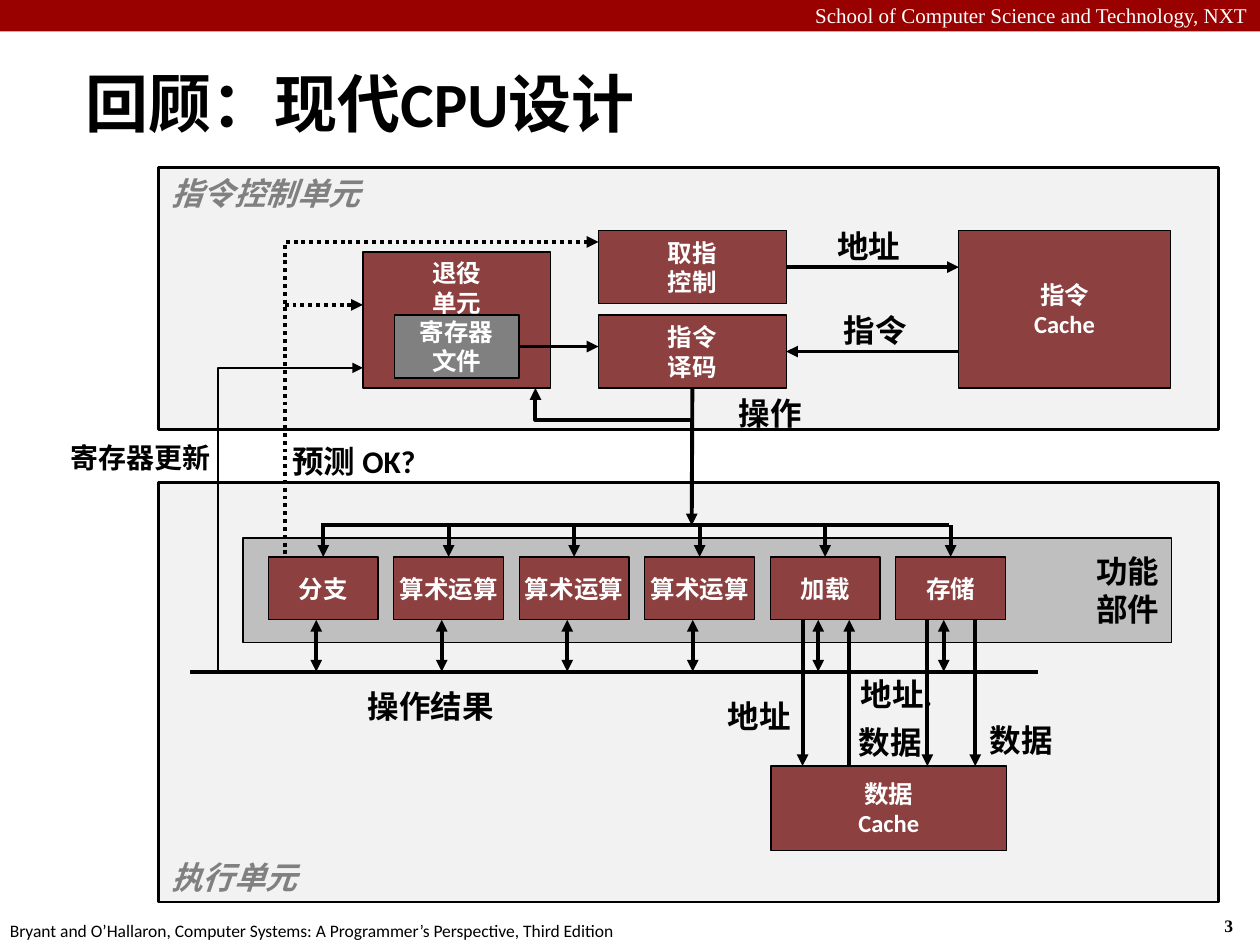
from lxml.etree import SubElement
from pptx import Presentation
from pptx.dml.color import RGBColor
from pptx.enum.dml import MSO_LINE
from pptx.enum.shapes import MSO_CONNECTOR, MSO_SHAPE
from pptx.enum.text import MSO_ANCHOR, PP_ALIGN
from pptx.oxml.ns import qn
from pptx.util import Inches, Pt

COLORS = {
    "bar": "990000", "box": "8C4040", "panel": "F2F2F2", "band": "BFBFBF",
    "gray": "808080", "black": "000000", "white": "FFFFFF",
}
RGB = {name: RGBColor.from_string(code) for name, code in COLORS.items()}
ALIGN = {"l": PP_ALIGN.LEFT, "c": PP_ALIGN.CENTER, "r": PP_ALIGN.RIGHT}
ANCHOR = {"t": MSO_ANCHOR.TOP, "m": MSO_ANCHOR.MIDDLE, "b": MSO_ANCHOR.BOTTOM}

deck = Presentation()
deck.slide_width, deck.slide_height = Inches(10), Inches(7.5)
slide = deck.slides.add_slide(deck.slide_layouts[6])
shapes = slide.shapes


def put(text, x, y, w, h, fill=None, edge=0.75, size=18, color="black",
        font="Calibri", bold=True, italic=False, align="c", anchor="t",
        wrap=False):
    """Add a text box, or a rectangle when a fill is given."""
    area = [Inches(v) for v in (x, y, w, h)]
    if fill:
        item = shapes.add_shape(MSO_SHAPE.RECTANGLE, *area)
        item.shadow.inherit = False
        item.fill.solid()
        item.fill.fore_color.rgb = RGB[fill]
        if edge:
            item.line.color.rgb = RGB["black"]
            item.line.width = Pt(edge)
        else:
            item.line.fill.background()
    else:
        item = shapes.add_textbox(*area)
    frame = item.text_frame
    frame.word_wrap = wrap
    frame.vertical_anchor = ANCHOR[anchor]
    frame.text = text
    for para in frame.paragraphs:
        para.alignment = ALIGN[align]
        for run in para.runs:
            run.font.name = font
            run.font.size = Pt(size)
            run.font.bold = bold
            run.font.italic = italic
            run.font.color.rgb = RGB[color]
    return item


def draw(*points, width=2.25, head=False, tail=True, dots=False,
         start=None, end=None):
    """Draw a line through points; start and end are (shape, site) pairs."""
    spots = [(Inches(x), Inches(y)) for x, y in points]
    if len(spots) == 2:
        item = shapes.add_connector(MSO_CONNECTOR.STRAIGHT, *spots[0], *spots[1])
        if start:
            item.begin_connect(*start)
        if end:
            item.end_connect(*end)
    else:
        path = shapes.build_freeform(*spots[0], scale=1.0)
        path.add_line_segments(spots[1:], close=False)
        item = path.convert_to_shape()
        item.fill.background()
    item.line.color.rgb = RGB["black"]
    item.line.width = Pt(width)
    if dots:
        item.line.dash_style = MSO_LINE.ROUND_DOT
    props = item.element.spPr
    for tag, shown in (("a:headEnd", head), ("a:tailEnd", tail)):
        if shown:
            SubElement(props.find(qn("a:ln")), qn(tag), type="triangle")
    SubElement(props, qn("a:effectLst"))


# Header, footer and title
put("", 0, 0, 10, 0.25, fill="bar", edge=0)
put("School of Computer Science and Technology, NXT", 0, -0.03, 10, 0.3,
    size=12, color="white", font="Times New Roman", bold=False, align="r",
    wrap=True)
put("3", 9.62, 7.21, 0.37, 0.27, size=10, font="Times New Roman", align="l")
put("Bryant and O’Hallaron, Computer Systems: A Programmer’s Perspective, "
    "Third Edition", -0.02, 7.25, 5.08, 0.27, size=10, bold=False, align="l")
put("回顾：现代CPU设计", 0.58, 0.5, 6.41, 0.63, size=36, align="l", anchor="m",
    wrap=True)

# Panels
panel = dict(fill="panel", edge=1.5, color="gray", italic=True, align="l")
put("执行单元", 1.26, 3.83, 8.41, 3.33, anchor="b", **panel)
put("功能\n部件", 1.93, 4.27, 7.37, 0.83, fill="band", align="r", anchor="m")
put("指令控制单元", 1.26, 1.33, 8.41, 2.08, **panel)

# Control boxes and the data cache
box = dict(fill="box", size=14, color="white", anchor="m")
put("指令\nCache", 7.61, 1.83, 1.68, 1.25, **box)
put("数据\nCache", 6.12, 6.08, 1.87, 0.67, **box)
fetch = put("取指\n控制", 4.75, 1.83, 1.49, 0.58, **box)
decode = put("指令\n译码", 4.75, 2.5, 1.49, 0.58, **box)

# Prediction feedback runs behind the retirement unit
draw((4.75, 1.92), (2.26, 1.92), (2.26, 4.42), head=True, tail=False, dots=True)
put("退役\n单元", 2.88, 2, 1.49, 1.08, **{**box, "anchor": "t"})
files = put("寄存器\n文件", 3.13, 2.5, 0.99, 0.5, **{**box, "fill": "gray"})

# Function units, fed from the upper bus and joined to the result bus
names = ["分支", "算术运算", "算术运算", "算术运算", "加载", "存储"]
step, wide, top, base, feed, bus = 0.996, 0.87, 4.42, 4.92, 4.17, 5.33
for i, name in enumerate(names):
    left = 2.13 + i * step
    mid = left + wide / 2
    unit = put(name, left, top, wide, base - top, **box)
    draw((mid, feed), (mid, top), end=(unit, 0))
    draw((left + 0.38, base), (left + 0.38, bus), head=True)
draw((2.55, feed), (7.53, feed), tail=False)
draw((1.51, bus), (8.24, bus), tail=False)

# Links between the control boxes
draw((6.24, 2.12), (7.61, 2.12), start=(fetch, 3))
draw((7.61, 2.79), (6.24, 2.79), end=(decode, 3))
draw((5.49, 3.08), (5.49, feed), start=(decode, 2))
draw((4.12, 2.75), (4.75, 2.75), start=(files, 3))
draw((2.26, 2.42), (2.88, 2.42), dots=True)
draw((5.49, 3.33), (4.25, 3.33), (4.25, 3.08))
draw((2.88, 2.92), (1.73, 2.92), (1.73, bus), width=1.5, head=True, tail=False)

# Load and store links to the data cache
for x, begin, stop in ((6.37, base, 6.08), (6.74, 6.08, base),
                       (7.36, base, 6.08), (7.74, base, 6.08)):
    draw((x, begin), (x, stop))

# Labels
for text, x, y, w, align in (
    ("地址", 6.48, 1.75, 0.83, "c"),
    ("指令", 6.53, 2.42, 0.83, "c"),
    ("操作", 5.7, 3.08, 0.83, "c"),
    ("预测 OK?", 2.22, 3.46, 1.41, "l"),
    ("数据", 7.69, 5.67, 0.83, "c"),
    ("数据", 6.65, 5.69, 0.83, "c"),
    ("地址", 5.61, 5.48, 0.83, "c"),
    ("地址.", 6.66, 5.31, 0.91, "c"),
    ("操作结果", 2.82, 5.4, 1.43, "l"),
):
    put(text, x, y, w, 0.4, align=align)
put("寄存器更新", 0.21, 3.45, 1.56, 0.37, size=16, align="r")

deck.save("out.pptx")
